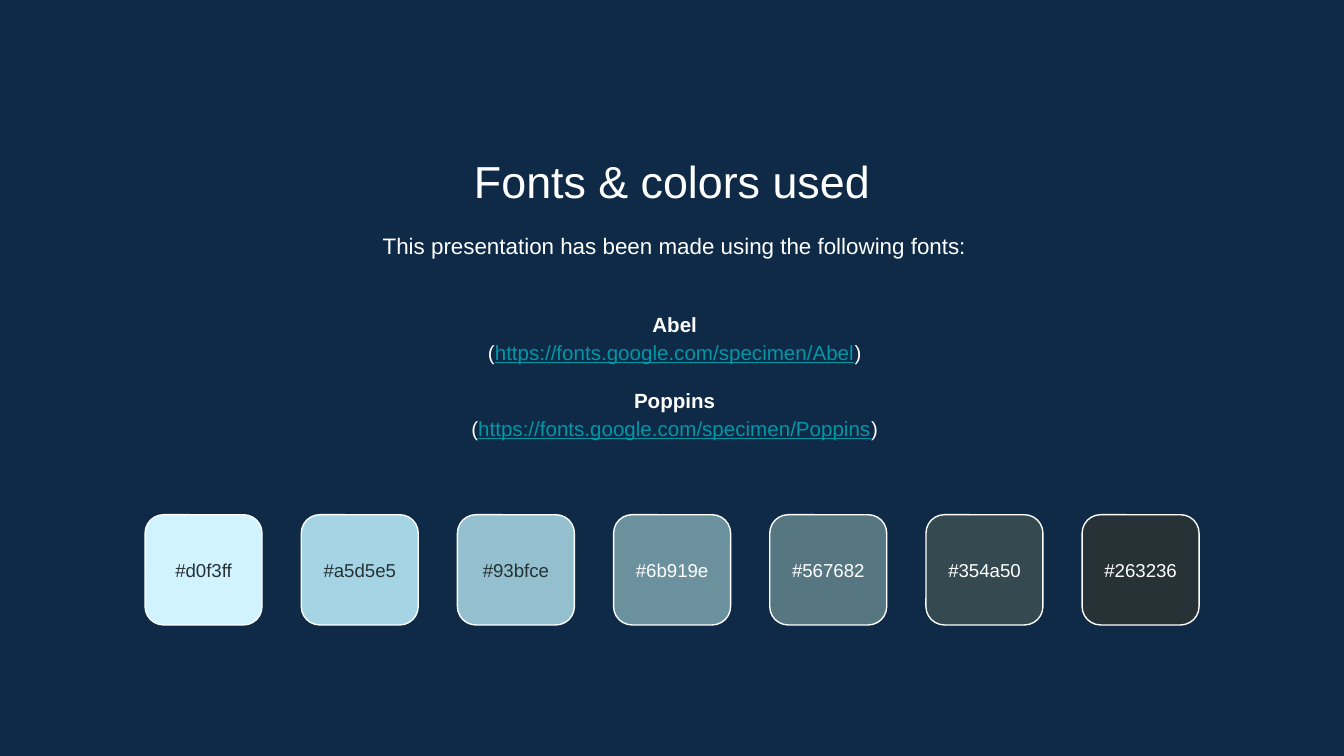
from pptx import Presentation
from pptx.dml.color import RGBColor
from pptx.enum.shapes import MSO_SHAPE
from pptx.enum.text import MSO_ANCHOR, PP_ALIGN
from pptx.util import Inches, Pt

ROUND = MSO_SHAPE.ROUNDED_RECTANGLE
TOP, MIDDLE = MSO_ANCHOR.TOP, MSO_ANCHOR.MIDDLE
CENTER = PP_ALIGN.CENTER
TITLE_ONLY = 5

COLORS = {"back": "0E2A47", "light": "FFFFFF", "dark": "263236", "link": "0097A7"}
SHADES = {
    "d0f3ff": "dark", "a5d5e5": "dark", "93bfce": "dark", "6b919e": "light",
    "567682": "light", "354a50": "light", "263236": "light",
}
FONTS = ["Abel", "Poppins"]
SITE = "https://fonts.google.com/specimen/"


def tint(code):
    """Turn a hex string into a colour."""
    return RGBColor.from_string(code.upper())


class Deck:
    """Holds the style and the current slide, on a grid of 100 columns."""

    def __init__(self, width):
        """Start a 16:9 deck with one title-only slide."""
        self.file = Presentation()
        self.file.slide_width = Inches(width)
        self.file.slide_height = Inches(width * 9 / 16)
        self.unit = Inches(width) / 100
        self.face = "Arial"
        self.slide = self.file.slides.add_slide(self.file.slide_layouts[TITLE_ONLY])
        fill = self.slide.background.fill
        fill.solid()
        fill.fore_color.rgb = tint(COLORS["back"])

    def place(self, *cells):
        """Turn grid cells into lengths."""
        return [round(cell * self.unit) for cell in cells]

    def frame(self, shape, anchor):
        """Set the wrap, margins and anchor of a text frame."""
        frame = shape.text_frame
        frame.word_wrap = True
        frame.vertical_anchor = anchor
        inset = round(self.unit)
        frame.margin_left = frame.margin_right = inset
        frame.margin_top = frame.margin_bottom = inset
        return frame

    def style(self, para, size, color="light", bold=False, space=1.0):
        """Format a centred paragraph."""
        para.alignment = CENTER
        para.line_spacing = space
        font = para.font
        font.name, font.size, font.bold = self.face, Pt(size), bold
        font.color.rgb = tint(COLORS[color])

    def title(self, text, area, size):
        """Move and format the title."""
        shape = self.slide.shapes.title
        shape.left, shape.top, shape.width, shape.height = self.place(*area)
        para = self.frame(shape, TOP).paragraphs[0]
        para.text = text
        self.style(para, size)

    def box(self, area, anchor):
        """Add an empty text box and return its frame."""
        return self.frame(self.slide.shapes.add_textbox(*self.place(*area)), anchor)

    def label(self, text, area, size, color="light", anchor=MIDDLE, space=1.0):
        """Add a one-line text box."""
        para = self.box(area, anchor).paragraphs[0]
        para.text = text
        self.style(para, size, color, space=space)

    def fonts(self, names, area, size, gap):
        """List font names, each above its address."""
        frame = self.box(area, MIDDLE)
        for pos, name in enumerate(names):
            head = frame.add_paragraph() if pos else frame.paragraphs[0]
            head.text = name
            self.style(head, size, bold=True, space=1.15)
            if pos:
                head.space_before = Pt(gap)
            line = frame.add_paragraph()
            self.style(line, size, space=1.15)
            for part in ("(", SITE + name, ")"):
                run = line.add_run()
                run.text = part
                if part.startswith(SITE):
                    run.font.underline = True
                    run.font.color.rgb = tint(COLORS["link"])

    def swatch(self, code, area):
        """Add a rounded tile of one colour."""
        shape = self.slide.shapes.add_shape(ROUND, *self.place(*area))
        shape.shadow.inherit = False
        shape.adjustments[0] = 0.167
        shape.fill.solid()
        shape.fill.fore_color.rgb = tint(code)
        shape.line.color.rgb = tint(COLORS["light"])
        shape.line.width = Pt(0.75)


def main():
    """Build and save the slide."""
    deck = Deck(10)
    deck.title("Fonts & colors used", (11.45, 10.45, 77.1, 5.3), 24)
    deck.label("This presentation has been made using the following fonts:",
               (11.65, 15.95, 77.1, 4.8), 12, anchor=TOP, space=1.15)
    deck.fonts(FONTS, (11.65, 21, 77.1, 13.7), 11, 10.5)
    left, step, wide = 10.8, 11.62, 8.7
    for col, (code, ink) in enumerate(SHADES.items()):
        x = left + col * step
        deck.swatch(code, (x, 38.3, wide, 8.2))
        deck.label("#" + code, (x, 40, wide, 4.8), 10, ink)
    deck.file.save("out.pptx")


if __name__ == "__main__":
    main()
